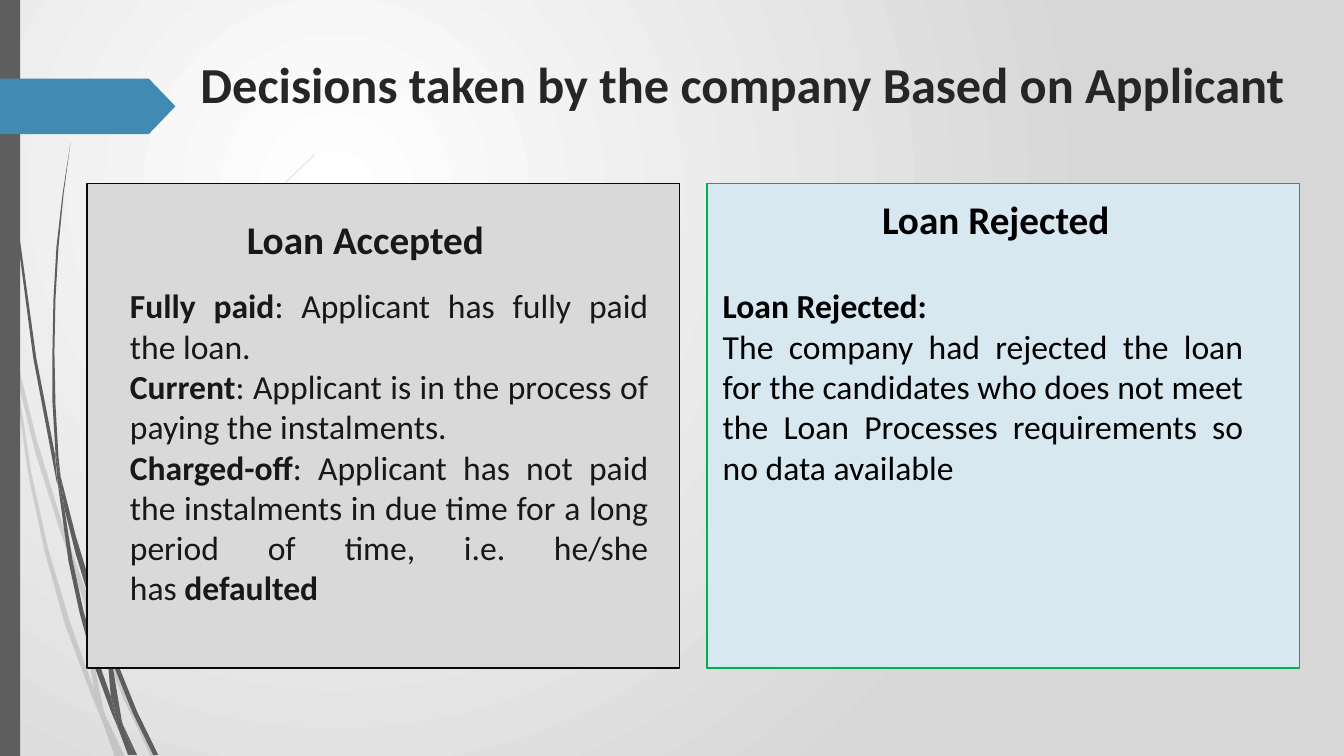
from dataclasses import dataclass

from lxml.etree import SubElement
from pptx import Presentation
from pptx.dml.color import RGBColor
from pptx.enum.shapes import MSO_SHAPE
from pptx.enum.text import PP_ALIGN
from pptx.oxml import parse_xml
from pptx.oxml.ns import nsdecls, qn
from pptx.shapes.autoshape import Shape
from pptx.slide import Slide
from pptx.util import Inches, Pt

FONT = "Calibri"
NO_BREAK_SPACE = chr(160)
STEM_GRAY = RGBColor(0x5E, 0x5E, 0x5E)
TAG_BLUE = RGBColor(0x41, 0x8A, 0xB3)
TITLE_INK = RGBColor(0x26, 0x26, 0x26)
ACCEPTED_FILL = RGBColor(0xD9, 0xD9, 0xD9)
ACCEPTED_LINE = RGBColor(0x09, 0x09, 0x09)
ACCEPTED_INK = RGBColor(0x18, 0x18, 0x18)
REJECTED_FILL = RGBColor(0xD8, 0xE8, 0xF1)
REJECTED_LINE = RGBColor(0x00, 0xB0, 0x50)
BLACK = RGBColor(0x00, 0x00, 0x00)

PANEL_TOP, PANEL_WIDTH, PANEL_HEIGHT = 1.82, 5.88, 4.81
BODY_TOP = 2.78

Point = tuple[float, float]
Box = tuple[float, float, float, float]
Line = list[tuple[str, bool]]  # runs of text, each with its bold flag


@dataclass
class Panel:
    left: float
    fill: RGBColor
    line: RGBColor
    ink: RGBColor
    heading: str
    heading_box: Box
    body: list[Line]
    body_box: Box


# Outlines of the grass stems, in inches
PALE_STEMS: list[list[Point]] = [
    [(0.58, 5.22), (0.84, 5.99), (0.85, 5.86), (0.62, 5.2), (0.36, 4.35), (0.14, 3.45),
     (0.17, 3.76), (0.35, 4.49)],
    [(0.92, 6.07), (0.88, 5.96), (0.88, 6.1), (1.23, 6.94), (1.5, 7.51), (1.55, 7.51),
     (1.27, 6.92)],
    [(1.19, 7.51), (1.24, 7.51), (1.05, 7.11)],
    [(0.93, 6.83), (0.7, 6.19), (0.48, 5.45), (0.31, 4.69), (0.17, 3.76), (0.11, 3.5),
     (0.28, 4.7), (0.44, 5.46), (0.65, 6.21), (0.92, 6.93), (1.01, 7.14), (0.99, 7.07)],
    [(0.84, 5.99), (0.87, 6.46), (0.93, 6.83), (0.96, 6.92), (1.05, 7.11), (1.03, 7.06),
     (0.91, 6.46), (0.88, 6.1), (0.88, 6.08)],
    [(0.88, 5.84), (0.95, 5.22), (1.1, 4.62), (1.33, 4.05), (1.6, 3.49), (1.92, 2.96),
     (2.29, 2.45), (2.68, 1.98), (2.9, 1.75), (3.12, 1.54), (3.12, 1.53), (2.89, 1.75),
     (2.68, 1.97), (2.28, 2.44), (1.91, 2.95), (1.58, 3.48), (1.3, 4.03), (1.07, 4.61),
     (0.91, 5.22), (0.85, 5.84), (0.85, 5.86), (0.88, 5.96)],
    [(1.01, 7.14), (1.14, 7.51), (1.19, 7.51)],
    [(0.88, 6.08), (0.88, 6.1), (0.88, 5.96), (0.85, 5.86), (0.84, 5.99)],
    [(0.96, 6.92), (0.93, 6.83), (0.99, 7.07), (1.01, 7.14), (1.19, 7.51), (1.05, 7.11)],
]
DARK_STEMS: list[list[Point]] = [
    [(0.07, 1.1), (0.17, 2.33), (0.33, 3.55), (0.56, 4.77), (0.57, 4.81), (0.55, 4.57),
     (0.55, 4.53), (0.36, 3.55), (0.19, 2.32), (0.08, 1.09), (0.05, 0.48), (0.04, 0),
     (0.03, 0), (0.04, 0.48)],
    [(0.88, 5.92), (1.06, 6.45), (1.06, 6.33), (1.06, 6.31), (0.93, 5.9), (0.75, 5.31),
     (0.6, 4.72), (0.64, 5.05), (0.75, 5.49)],
    [(1.13, 6.49), (1.1, 6.41), (1.11, 6.56), (1.32, 7.08), (1.52, 7.49), (1.57, 7.49),
     (1.36, 7.06)],
    [(1.1, 6.91), (0.98, 6.57), (0.83, 6.07), (0.72, 5.56), (0.64, 5.05), (0.57, 4.77),
     (0.68, 5.57), (0.79, 6.08), (0.93, 6.59), (1.11, 7.08), (1.17, 7.22), (1.16, 7.17)],
    [(0.6, 4.72), (0.58, 4.53), (0.55, 4.01), (0.54, 3.49), (0.55, 2.97), (0.58, 2.45),
     (0.63, 1.93), (0.7, 1.41), (0.62, 1.93), (0.56, 2.45), (0.53, 2.97), (0.52, 3.49),
     (0.52, 3.99), (0.55, 4.49)],
    [(1.33, 7.49), (1.36, 7.49), (1.22, 7.19)],
    [(0.57, 4.77), (0.64, 5.05), (0.6, 4.72), (0.55, 4.49), (0.55, 4.53)],
    [(1.17, 7.22), (1.27, 7.49), (1.31, 7.49)],
    [(1.06, 6.45), (1.1, 6.91), (1.16, 7.06), (1.22, 7.19), (1.21, 7.16), (1.11, 6.56),
     (1.09, 6.51)],
    [(1.16, 7.06), (1.1, 6.91), (1.16, 7.17), (1.17, 7.22), (1.3, 7.49), (1.33, 7.49),
     (1.22, 7.19)],
]

PANELS = [
    Panel(
        0.86, ACCEPTED_FILL, ACCEPTED_LINE, ACCEPTED_INK,
        "Loan Accepted", (2.35, 2.09, 2.9, 0.57),
        [
            [("Fully paid", True), (": Applicant has fully paid the loan.", False)],
            [("Current", True),
             (": Applicant is in the process of paying the instalments.", False)],
            [("Charged-off", True),
             (": Applicant has not paid the instalments in due time for a long period "
              "of time, i.e. he/she has" + NO_BREAK_SPACE, False),
             ("defaulted", True)],
        ],
        (1.19, BODY_TOP, 5.34, 3.64),
    ),
    Panel(
        7.01, REJECTED_FILL, REJECTED_LINE, BLACK,
        "Loan Rejected", (8.65, 1.89, 2.59, 0.57),
        [
            [("Loan Rejected:", True)],
            [("The company had rejected the loan for the candidates who does not meet "
              "the Loan Processes requirements so no data available", False)],
        ],
        (7.07, BODY_TOP, 5.36, 2.12),
    ),
]


def paint_background(slide: Slide) -> None:
    slide.background.fill.solid()
    properties = slide.background._cSld.bg.bgPr
    gradient = parse_xml(
        f'<a:gradFill {nsdecls("a")} rotWithShape="1"><a:gsLst>'
        '<a:gs pos="0"><a:srgbClr val="FFFFFF"/></a:gs>'
        '<a:gs pos="100000"><a:srgbClr val="D7D7D7"/></a:gs></a:gsLst>'
        '<a:path path="circle"><a:fillToRect l="50000" t="50000" r="100000" b="100000"/>'
        '</a:path></a:gradFill>'
    )
    properties.replace(properties.find(qn("a:solidFill")), gradient)


def style_shape(shape: Shape, fill: RGBColor, line: RGBColor | None = None) -> None:
    shape.shadow.inherit = False
    shape.fill.solid()
    shape.fill.fore_color.rgb = fill
    if line is None:
        shape.line.fill.background()
    else:
        shape.line.color.rgb = line
        shape.line.width = Pt(1.25)


def add_preset(slide: Slide, kind: MSO_SHAPE, box: Box, fill: RGBColor,
               line: RGBColor | None = None) -> Shape:
    shape = slide.shapes.add_shape(kind, *map(Inches, box))
    style_shape(shape, fill, line)
    return shape


def add_stem(slide: Slide, outline: list[Point], opacity: int) -> None:
    start, *others = [(Inches(x), Inches(y)) for x, y in outline]
    builder = slide.shapes.build_freeform(*start)
    builder.add_line_segments(others, close=True)
    shape = builder.convert_to_shape()
    style_shape(shape, STEM_GRAY)
    if opacity < 100:
        color = shape._element.spPr.find(qn("a:solidFill")).find(qn("a:srgbClr"))
        SubElement(color, qn("a:alpha"), val=str(opacity * 1000))


def add_text(slide: Slide, box: Box, lines: list[Line], size: int, ink: RGBColor,
             alignment: PP_ALIGN = PP_ALIGN.LEFT) -> None:
    frame = slide.shapes.add_textbox(*map(Inches, box)).text_frame
    frame.word_wrap = True
    for index, line in enumerate(lines):
        paragraph = frame.add_paragraph() if index else frame.paragraphs[0]
        paragraph.alignment = alignment
        paragraph.font.name = FONT
        paragraph.font.size = Pt(size)
        paragraph.font.color.rgb = ink
        for text, bold in line:
            run = paragraph.add_run()
            run.text = text
            run.font.bold = bold


def main() -> None:
    presentation = Presentation()
    presentation.slide_width, presentation.slide_height = Inches(13.33), Inches(7.5)
    slide = presentation.slides.add_slide(presentation.slide_layouts[6])

    # Backdrop: gradient, stems, side bar and arrow tag
    paint_background(slide)
    for stems, opacity in ((PALE_STEMS, 20), (DARK_STEMS, 100)):
        for outline in stems:
            add_stem(slide, outline, opacity)
    add_preset(slide, MSO_SHAPE.RECTANGLE, (0, 0, 0.2, 7.5), STEM_GRAY)
    tag = add_preset(slide, MSO_SHAPE.PENTAGON, (0, 0.78, 1.74, 0.55), TAG_BLUE)
    tag.adjustments[0] = 0.48

    # Title
    title = "Decisions taken by the company Based on Applicant"
    add_text(slide, (1.89, 0.48, 11, 1.05), [[(title, True)]], 36, TITLE_INK)

    # Decision panels
    for panel in PANELS:
        box = (panel.left, PANEL_TOP, PANEL_WIDTH, PANEL_HEIGHT)
        add_preset(slide, MSO_SHAPE.RECTANGLE, box, panel.fill, panel.line)
        add_text(slide, panel.heading_box, [[(panel.heading, True)]], 28, panel.ink)
        add_text(slide, panel.body_box, panel.body, 24, panel.ink, PP_ALIGN.JUSTIFY)

    presentation.save("out.pptx")


if __name__ == "__main__":
    main()
